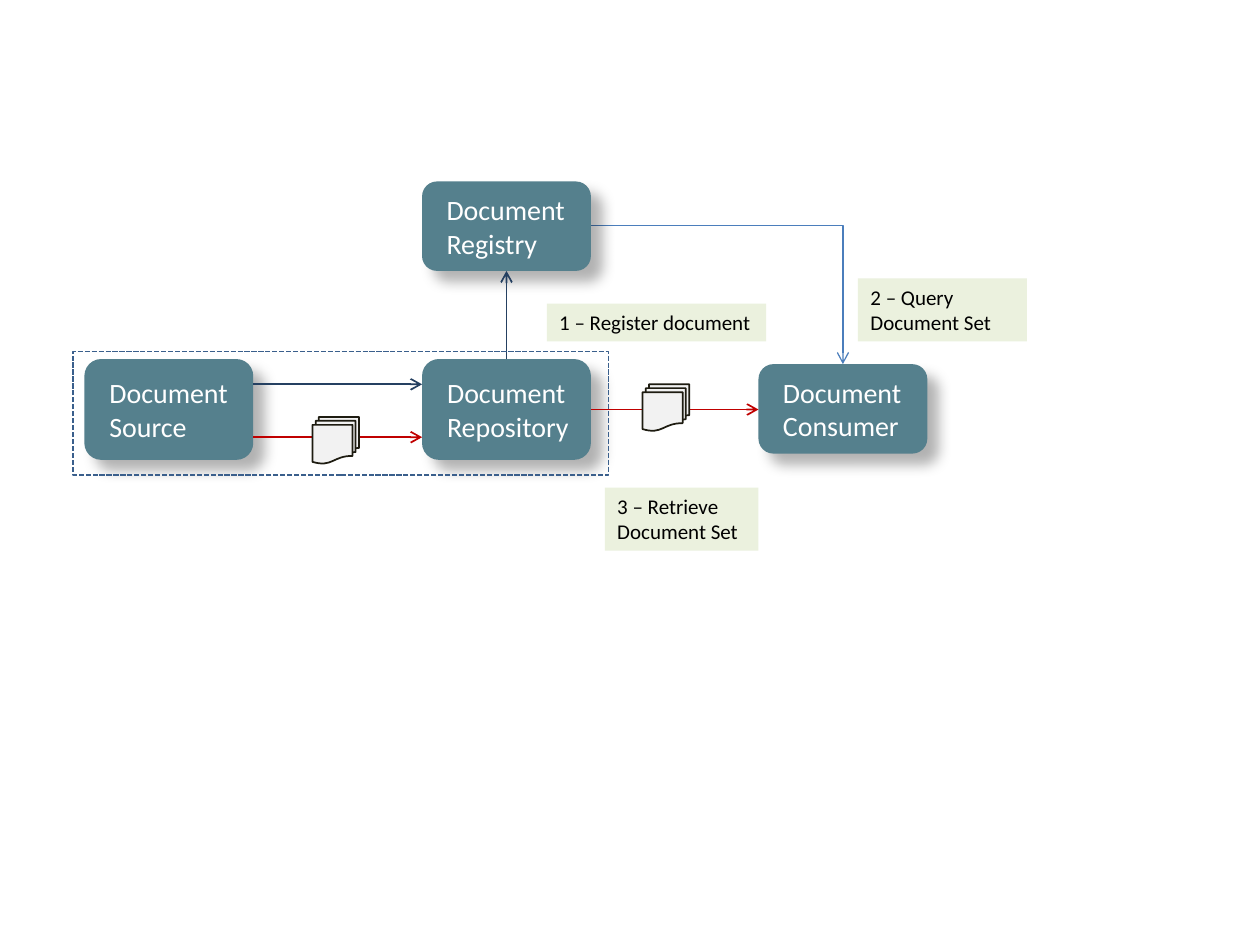
import lxml.etree
import pptx
import pptx.dml.color
import pptx.enum.dml
import pptx.enum.shapes
import pptx.enum.text
import pptx.oxml
import pptx.oxml.ns
import pptx.util

Inches = pptx.util.Inches
Pt = pptx.util.Pt
RGBColor = pptx.dml.color.RGBColor
Shape = pptx.enum.shapes.MSO_SHAPE
Connector = pptx.enum.shapes.MSO_CONNECTOR
qn = pptx.oxml.ns.qn

TEAL = RGBColor(0x55, 0x80, 0x8D)
WHITE = RGBColor(0xFF, 0xFF, 0xFF)
BLACK = RGBColor(0x00, 0x00, 0x00)
NAVY = RGBColor(0x25, 0x40, 0x61)
RED = RGBColor(0xC0, 0x00, 0x00)
BLUE = RGBColor(0x4B, 0x7E, 0xBC)
FRAME_BLUE = RGBColor(0x3A, 0x5F, 0x8C)
PALE_GREEN = RGBColor(0xEB, 0xF1, 0xDE)
PAPER = RGBColor(0xF2, 0xF2, 0xF2)
INK = RGBColor(0x1E, 0x1C, 0x11)

ACTOR_WIDTH = 1.34
SOURCE_LEFT, REPOSITORY_LEFT, CONSUMER_LEFT = 0.67, 3.35, 6.02
SOURCE_RIGHT, REPOSITORY_RIGHT = (left + ACTOR_WIDTH for left in (SOURCE_LEFT, REPOSITORY_LEFT))
REPOSITORY_CENTER = REPOSITORY_LEFT + ACTOR_WIDTH / 2
CONSUMER_CENTER = CONSUMER_LEFT + ACTOR_WIDTH / 2

SHADOW = (
    '<a:effectLst xmlns:a="http://schemas.openxmlformats.org/drawingml/2006/main">'
    f'<a:outerShdw blurRad="{Pt(8)}" dist="{Pt(9)}" dir="2700000" algn="tl" rotWithShape="0">'
    '<a:srgbClr val="000000"><a:alpha val="30000"/></a:srgbClr>'
    '</a:outerShdw></a:effectLst>'
)


def write_text(shape, text, size, color, anchor, left_inset=0.1, wrap=True):
    frame = shape.text_frame
    frame.word_wrap = wrap
    frame.vertical_anchor = anchor
    frame.margin_left = Inches(left_inset)
    frame.margin_right = Inches(0.1)
    frame.margin_top = frame.margin_bottom = Inches(0.05)
    for index, line in enumerate(text.split("\n")):
        para = frame.add_paragraph() if index else frame.paragraphs[0]
        para.alignment = pptx.enum.text.PP_ALIGN.LEFT
        span = para.add_run()
        span.text = line
        span.font.name = "Calibri"
        span.font.size = Pt(size)
        span.font.color.rgb = color


def add_box(page, kind, left, top, width, height, fill=None, line=None):
    box = page.shapes.add_shape(kind, Inches(left), Inches(top), Inches(width), Inches(height))
    box.shadow.inherit = False
    if fill is None:
        box.fill.background()
    else:
        box.fill.solid()
        box.fill.fore_color.rgb = fill
    if line is None:
        box.line.fill.background()
    else:
        box.line.color.rgb = line
        box.line.width = Pt(1)
    return box


def add_actor(page, text, left, top, height):
    box = add_box(page, Shape.ROUNDED_RECTANGLE, left, top, ACTOR_WIDTH, height, fill=TEAL)
    properties = box._element.spPr
    properties.replace(properties.find(qn("a:effectLst")), pptx.oxml.parse_xml(SHADOW))
    write_text(box, text, size=16, color=WHITE,
               anchor=pptx.enum.text.MSO_ANCHOR.MIDDLE, left_inset=0.16)


def add_label(page, text, left, top, width, height, wrap=True):
    box = add_box(page, Shape.RECTANGLE, left, top, width, height, fill=PALE_GREEN)
    write_text(box, text, size=12, color=BLACK,
               anchor=pptx.enum.text.MSO_ANCHOR.TOP, wrap=wrap)
    box.text_frame.auto_size = pptx.enum.text.MSO_AUTO_SIZE.SHAPE_TO_FIT_TEXT


def add_arrow(page, start, end, color, width=1, kind=Connector.STRAIGHT):
    arrow = page.shapes.add_connector(kind, *(Inches(value) for value in (*start, *end)))
    arrow.line.color.rgb = color
    arrow.line.width = Pt(width)
    properties = arrow._element.spPr
    if kind == Connector.ELBOW:
        properties.find(qn("a:prstGeom")).set("prst", "bentConnector2")
    lxml.etree.SubElement(properties.find(qn("a:ln")), qn("a:tailEnd"), type="arrow")
    lxml.etree.SubElement(properties, qn("a:effectLst"))


def add_documents(page, left, top):
    add_box(page, Shape.FLOWCHART_MULTIDOCUMENT, left, top, 0.37, 0.37, fill=PAPER, line=INK)


def add_frame(page, left, top, width, height):
    frame = add_box(page, Shape.RECTANGLE, left, top, width, height, line=FRAME_BLUE)
    frame.line.dash_style = pptx.enum.dml.MSO_LINE.SQUARE_DOT


def main():
    deck = pptx.Presentation()
    deck.slide_width, deck.slide_height = Inches(10), Inches(7.5)
    page = deck.slides.add_slide(deck.slide_layouts[6])

    add_arrow(page, (REPOSITORY_RIGHT, 1.79), (CONSUMER_CENTER, 2.89), BLUE,
              width=0.75, kind=Connector.ELBOW)

    add_actor(page, "Document Source", SOURCE_LEFT, 2.85, 0.8)
    add_actor(page, "Document Repository", REPOSITORY_LEFT, 2.85, 0.8)
    add_actor(page, "Document Registry", REPOSITORY_LEFT, 1.44, 0.71)
    add_actor(page, "Document Consumer", CONSUMER_LEFT, 2.89, 0.71)

    add_arrow(page, (SOURCE_RIGHT, 3.05), (REPOSITORY_LEFT, 3.05), NAVY)
    add_arrow(page, (SOURCE_RIGHT, 3.47), (REPOSITORY_LEFT, 3.47), RED)
    add_documents(page, 2.48, 3.31)
    add_arrow(page, (REPOSITORY_CENTER, 2.85), (REPOSITORY_CENTER, 2.15), NAVY)
    add_arrow(page, (REPOSITORY_RIGHT, 3.25), (CONSUMER_LEFT, 3.25), RED)
    add_documents(page, 5.1, 3.05)

    add_label(page, "1 – Register document", 4.34, 2.41, 1.74, 0.3, wrap=False)
    add_label(page, "2 – Query\nDocument Set", 6.81, 2.21, 1.34, 0.5)
    add_label(page, "3 – Retrieve\nDocument Set", 4.8, 3.87, 1.22, 0.5)

    add_frame(page, 0.58, 2.79, 4.25, 0.98)
    deck.save("out.pptx")


if __name__ == "__main__":
    main()
